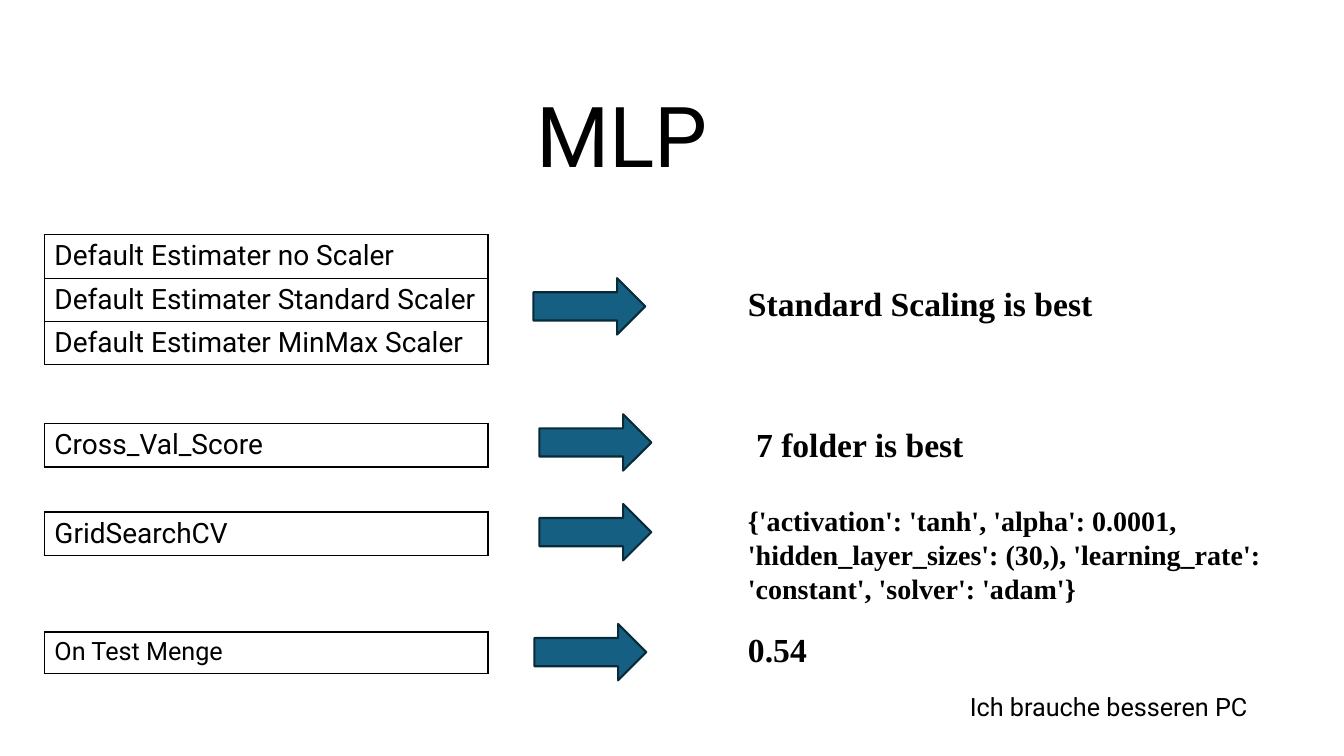
import pptx
import pptx.util
import pptx.dml.color
import pptx.enum.shapes
import pptx.enum.text
import pptx.oxml
import pptx.oxml.ns

Inches, Pt = pptx.util.Inches, pptx.util.Pt
BLACK = pptx.dml.color.RGBColor(0x00, 0x00, 0x00)
TEAL = pptx.dml.color.RGBColor(0x15, 0x60, 0x82)
DARK_TEAL = pptx.dml.color.RGBColor(0x09, 0x2A, 0x39)
SANS, SERIF = "Roboto", "Times New Roman"

TITLE = "MLP"
REMARK = "Ich brauche besseren PC"
STEPS = [
    {"top": 2.33, "row": 0.43, "size": 20, "arrow": (5.29, 2.76),
     "tests": ["Default Estimater no Scaler",
               "Default Estimater Standard Scaler",
               "Default Estimater MinMax Scaler"],
     "finding": "Standard Scaling is best", "box": (7.32, 2.76, 4.27, 0.91),
     "finding_size": 24},
    {"top": 4.2, "row": 0.43, "size": 20, "arrow": (5.35, 4.11),
     "tests": ["Cross_Val_Score"],
     "finding": "7 folder is best", "box": (7.4, 4.16, 3.59, 0.5),
     "finding_size": 24},
    {"top": 5.08, "row": 0.43, "size": 20, "arrow": (5.35, 5.0),
     "tests": ["GridSearchCV"],
     "finding": "{'activation': 'tanh', 'alpha': 0.0001, "
                "'hidden_layer_sizes': (30,), 'learning_rate': "
                "'constant', 'solver': 'adam'}",
     "box": (7.32, 4.95, 5.73, 1.11), "finding_size": 20},
    {"top": 6.27, "row": 0.41, "size": 18, "arrow": (5.3, 6.19),
     "tests": ["On Test Menge"],
     "finding": "0.54", "box": (7.32, 6.19, 3.59, 0.5),
     "finding_size": 24},
]
TABLE_LEFT, TABLE_WIDTH = 0.44, 4.4
ARROW_SIZE = (1.11, 0.56)


def write(frame, text, font_name, size, bold=False):
    frame.text = text
    font = frame.paragraphs[0].font
    font.name, font.size, font.bold = font_name, Pt(size), bold
    font.color.rgb = BLACK


def add_text(slide, box, text, font_name, size, bold=False):
    frame = slide.shapes.add_textbox(*map(Inches, box)).text_frame
    frame.word_wrap = True
    write(frame, text, font_name, size, bold)


def outline(cell):
    properties = cell._tc.get_or_add_tcPr()
    for side in ("lnL", "lnR", "lnT", "lnB"):
        properties.append(pptx.oxml.parse_xml(
            f'<a:{side} {pptx.oxml.ns.nsdecls("a")} w="{Pt(1)}">'
            f'<a:solidFill><a:srgbClr val="{BLACK}"/></a:solidFill></a:{side}>'))
    cell.fill.background()


def add_tests(slide, step):
    tests = step["tests"]
    table = slide.shapes.add_table(
        len(tests), 1, Inches(TABLE_LEFT), Inches(step["top"]),
        Inches(TABLE_WIDTH), Inches(step["row"] * len(tests))).table
    table.first_row = table.horz_banding = False
    for index, test in enumerate(tests):
        table.rows[index].height = Inches(step["row"])
        cell = table.cell(index, 0)
        write(cell.text_frame, test, SANS, step["size"])
        outline(cell)


def add_arrow(slide, corner):
    arrow = slide.shapes.add_shape(
        pptx.enum.shapes.MSO_SHAPE.RIGHT_ARROW,
        *map(Inches, corner + ARROW_SIZE))
    arrow.shadow.inherit = False
    arrow.fill.solid()
    arrow.fill.fore_color.rgb = TEAL
    arrow.line.color.rgb = DARK_TEAL
    arrow.line.width = Pt(1.5)


def main():
    deck = pptx.Presentation()
    deck.slide_width, deck.slide_height = Inches(13.33), Inches(7.5)
    slide = deck.slides.add_slide(deck.slide_layouts[5])

    title = slide.shapes.title
    title.left, title.top, title.width, title.height = map(
        Inches, (3.97, 0.78, 4.4, 1.11))
    write(title.text_frame, TITLE, SANS, 60)
    title.text_frame.auto_size = pptx.enum.text.MSO_AUTO_SIZE.NONE
    title.text_frame.vertical_anchor = pptx.enum.text.MSO_ANCHOR.TOP
    title.text_frame.paragraphs[0].alignment = pptx.enum.text.PP_ALIGN.CENTER

    for step in STEPS:
        add_tests(slide, step)
        add_arrow(slide, step["arrow"])
        add_text(slide, step["box"], step["finding"], SERIF,
                 step["finding_size"], bold=True)
    add_text(slide, (9.52, 6.81, 3.52, 0.41), REMARK, SANS, 18)

    deck.save("out.pptx")


if __name__ == "__main__":
    main()
